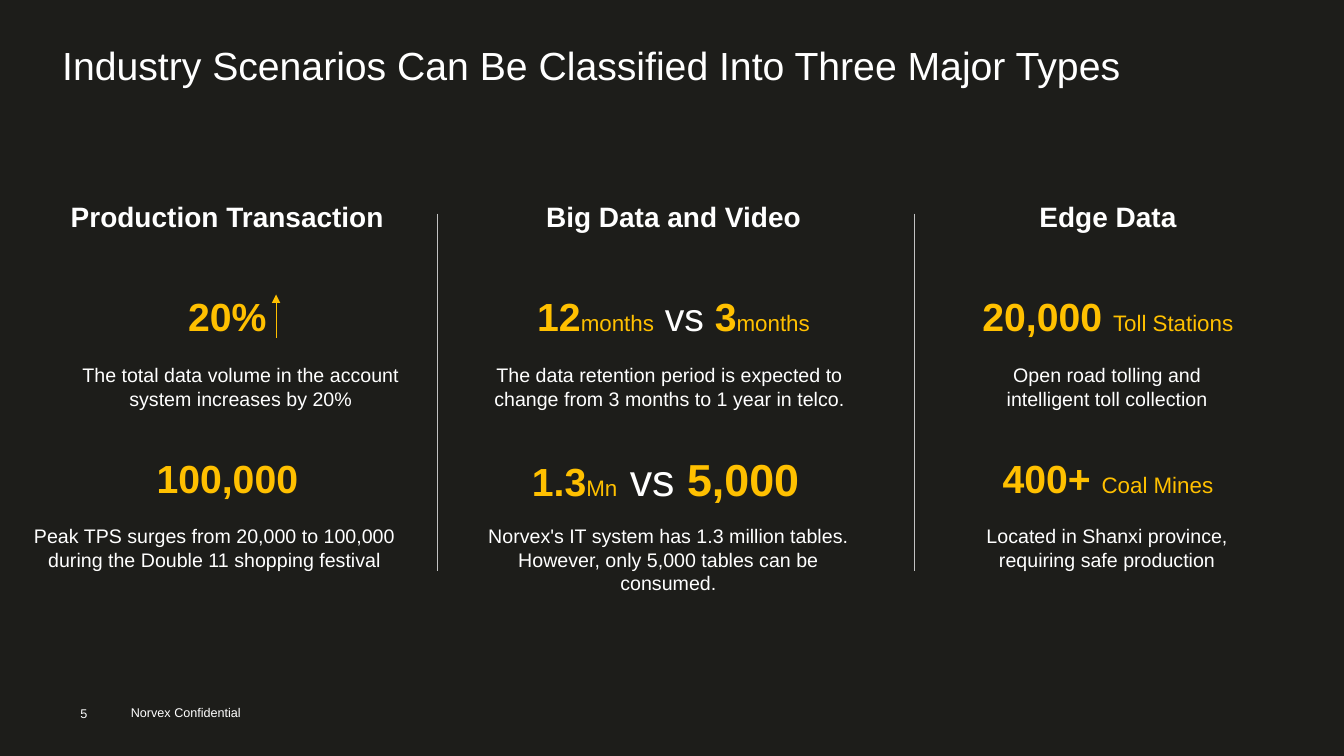
from lxml import etree
from pptx import Presentation
from pptx import util as u
from pptx.dml.color import RGBColor
from pptx.enum import shapes, text
from pptx.oxml.ns import qn

COLORS = {"back": "1D1D1A", "white": "FFFFFF", "gold": "FFC000", "rule": "C2C2C2"}
FONT = "Arial"
LEFT, CENTER = text.PP_ALIGN.LEFT, text.PP_ALIGN.CENTER
HEADING_TOP, HEADING_WIDTH, HEADING_HEIGHT = 4.5, 9.53, 1.9
CAPTION_TOPS = (9.02, 13.08)
BOX_HEIGHT = 1.45
RULE_TOP, RULE_BOTTOM = 5.38, 14.38


def big(words, size=28):
    return words, size, "gold", True


def small(words):
    return words, 16, "gold", False


def plain(words, size):
    return words, size, "white", False


# Column: centre, heading, figures (centre, top, width, alignment, runs),
# captions (centre, width, words)
COLUMNS = [
    (5.73, "Production Transaction",
     [(5.73, 7.24, 3.18, CENTER, [big("20%")]),
      (5.73, 11.33, 6.63, CENTER, [big("100,000")])],
     [(6.07, 10, "The total data volume in the account system increases by 20%"),
      (5.41, 10.46, "Peak TPS surges from 20,000 to 100,000 during the Double 11 "
                    "shopping festival")]),
    (16.98, "Big Data and Video",
     [(16.98, 7.24, 9.53, CENTER,
       [big("12"), small("months"), big(" "), plain("vs ", 28), big("3"),
        small("months")]),
      (16.97, 11.25, 7.62, LEFT,
       [big("1.3"), small("Mn"), big(" ", 32), plain("vs ", 32), big("5,000", 32)])],
     [(16.88, 10.54, "The data retention period is expected to change from 3 months "
                     "to 1 year in telco."),
      (16.85, 10.59, "Norvex's IT system has 1.3 million tables. However, only 5,000 "
                     "tables can be consumed.")]),
    (27.93, "Edge Data",
     [(27.93, 7.24, 8.31, CENTER, [big("20,000 "), small("Toll Stations")]),
      (27.93, 11.33, 8.48, CENTER, [big("400+ "), small("Coal Mines")])],
     [(27.91, 6.71, "Open road tolling and intelligent toll collection"),
      (27.91, 7.98, "Located in Shanxi province, requiring safe production")]),
]


def color(name):
    return RGBColor.from_string(COLORS[name])


def add_text(s, left, top, width, height, runs, align=LEFT, inset=True,
             anchor=text.MSO_ANCHOR.TOP):
    """Add a one-paragraph text box; each run is (words, size, colour, bold)."""
    sp = s.shapes.add_textbox(u.Cm(left), u.Cm(top), u.Cm(width), u.Cm(height))
    tf = sp.text_frame
    tf.word_wrap = True
    tf.vertical_anchor = anchor
    if not inset:
        tf.margin_left = tf.margin_right = tf.margin_top = tf.margin_bottom = 0
    p = tf.paragraphs[0]
    p.alignment = align
    for words, size, tint, bold in runs:
        r = p.add_run()
        r.text = words
        r.font.name = FONT
        r.font.size = u.Pt(size)
        r.font.bold = bold
        r.font.color.rgb = color(tint)


def add_line(s, x, y1, y2, tint, arrow=False):
    """Add a thin vertical line, with an arrowhead at y2 if asked."""
    line = s.shapes.add_connector(shapes.MSO_CONNECTOR.STRAIGHT,
                                  u.Cm(x), u.Cm(y1), u.Cm(x), u.Cm(y2))
    line.line.color.rgb = color(tint)
    line.line.width = u.Pt(0.5)
    if arrow:
        etree.SubElement(line.line._get_or_add_ln(), qn("a:tailEnd"), type="triangle")
    etree.SubElement(line._element.spPr, qn("a:effectLst"))


def add_column(s, center, heading, figures, captions):
    add_text(s, center - HEADING_WIDTH / 2, HEADING_TOP, HEADING_WIDTH,
             HEADING_HEIGHT, [(heading, 20, "white", True)], CENTER, False,
             text.MSO_ANCHOR.MIDDLE)
    for x, top, width, align, runs in figures:
        add_text(s, x - width / 2, top, width, BOX_HEIGHT, runs, align)
    for top, (x, width, words) in zip(CAPTION_TOPS, captions):
        add_text(s, x - width / 2, top, width, BOX_HEIGHT, [plain(words, 14)], CENTER)


def main():
    prs = Presentation()
    prs.slide_width, prs.slide_height = u.Cm(33.88), u.Cm(19.05)
    s = prs.slides.add_slide(prs.slide_layouts[6])
    s.background.fill.solid()
    s.background.fill.fore_color.rgb = color("back")

    add_text(s, 1.32, 0.91, 32.33, BOX_HEIGHT,
             [plain("Industry Scenarios Can Be Classified Into Three Major Types", 28)])
    for column in COLUMNS:
        add_column(s, *column)
    add_line(s, 6.96, 8.51, 7.42, "gold", arrow=True)
    for x in (11.02, 23.06):
        add_line(s, x, RULE_TOP, RULE_BOTTOM, "rule")

    add_text(s, 2.03, 17.78, 1.4, 0.38, [plain("5", 9)], inset=False)
    add_text(s, 3.05, 17.65, 4.06, 0.64, [plain("Norvex Confidential", 9)])
    prs.save("out.pptx")


if __name__ == "__main__":
    main()
